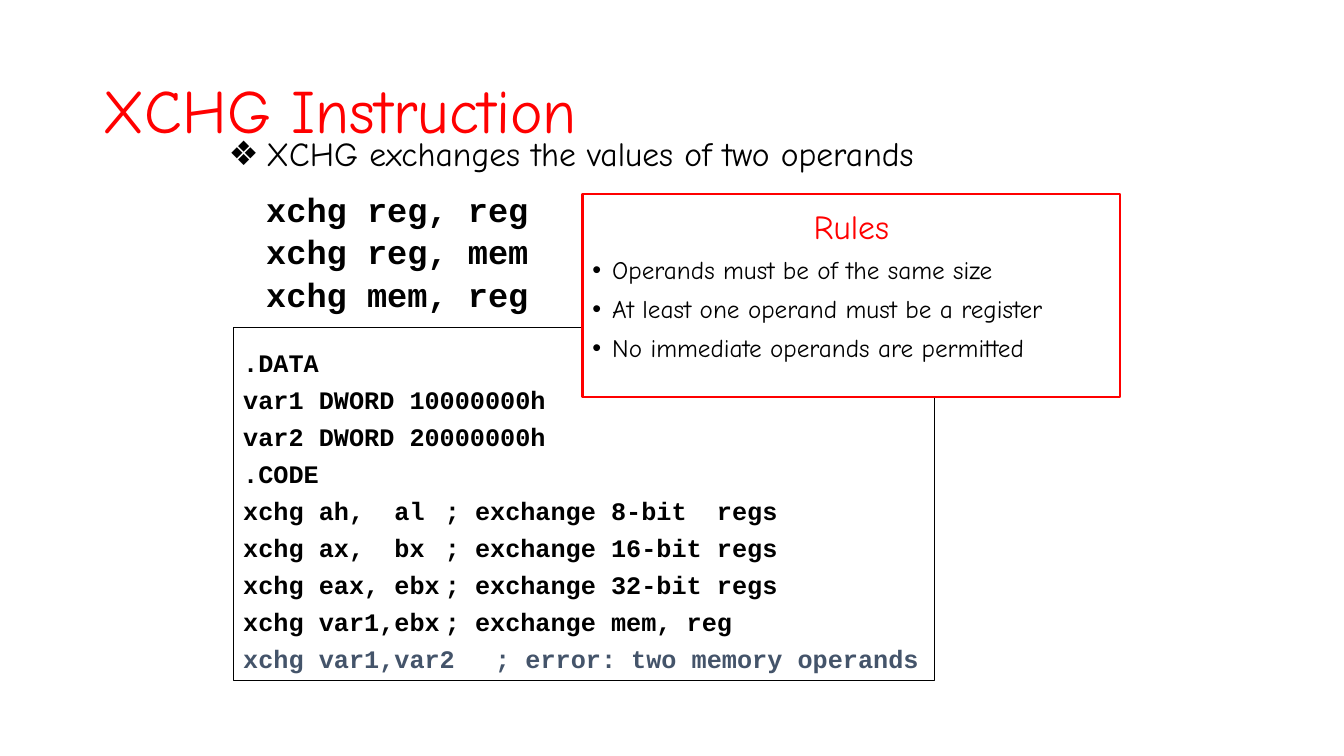
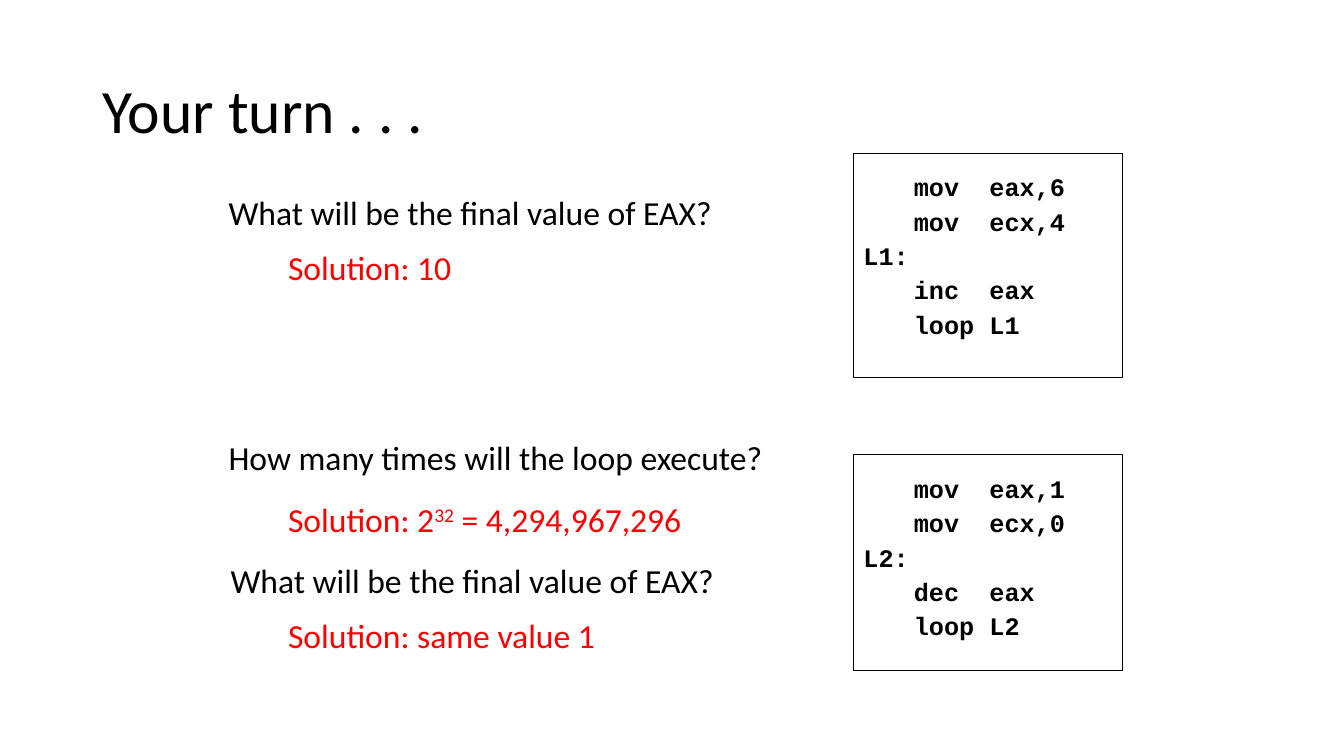
from lxml.etree import SubElement as Sub
from pptx import Presentation
from pptx.dml.color import RGBColor as RGB
from pptx.enum.shapes import MSO_SHAPE as Shape
from pptx.enum.text import MSO_ANCHOR as Anchor, MSO_AUTO_SIZE as Fit, PP_ALIGN as Align
from pptx.oxml.ns import qn
from pptx.util import Cm, Pt

# Shared style
BLACK, RED, SLATE, WHITE = "000000", "FF0000", "44546A", "FFFFFF"
PLAIN, COMIC, MONO = "Calibri", "Comic Neue", "Courier New"
CODE = dict(size=18, font=MONO, bold=True)


def write(frame, text, size=24, font=PLAIN, color=BLACK, bold=False, align=Align.LEFT,
          before=0, lead=None, margin=0, bullet=None, tab=None):
    """Add one paragraph; text between carets is raised."""
    first = not frame.text
    para = frame.paragraphs[0] if first else frame.add_paragraph()
    para.alignment = align
    para.space_before = Pt(0 if first else before)
    if lead:
        para.line_spacing = lead
    props = para._p.get_or_add_pPr()
    props.set("marL", str(Cm(margin)))
    props.set("indent", str(-Cm(margin) if bullet else 0))
    if bullet:
        Sub(props, qn("a:buFont"), typeface="Arial")
        Sub(props, qn("a:buChar"), char=bullet)
    else:
        Sub(props, qn("a:buNone"))
    if tab:
        Sub(Sub(props, qn("a:tabLst")), qn("a:tab"), pos=str(Cm(tab)), algn="l")
    for i, part in enumerate(text.split("^")):
        run = para.add_run()
        run.text = part
        run.font.size, run.font.name, run.font.bold = Pt(size), font, bold
        run.font.color.rgb = RGB.from_string(color)
        if i % 2:
            run._r.get_or_add_rPr().set("baseline", "30000")


def box(slide, left, top, width, height, line=None, weight=0.75, fill=None,
        inset=0.13, right=0.25):
    """Add a text box, or a rectangle if it has a line, and give its text frame."""
    area = Cm(left), Cm(top), Cm(width), Cm(height)
    if line:
        shape = slide.shapes.add_shape(Shape.RECTANGLE, *area)
        shape.shadow.inherit = False
        shape.line.color.rgb = RGB.from_string(line)
        shape.line.width = Pt(weight)
        if fill:
            shape.fill.solid()
            shape.fill.fore_color.rgb = RGB.from_string(fill)
        else:
            shape.fill.background()
    else:
        shape = slide.shapes.add_textbox(*area)
    frame = shape.text_frame
    frame.word_wrap = True
    frame.vertical_anchor = Anchor.TOP
    frame.margin_left, frame.margin_right = Cm(0.25), Cm(right)
    frame.margin_top, frame.margin_bottom = Cm(inset), Cm(0)
    return frame


deck = Presentation()
deck.slide_width, deck.slide_height = Cm(33.87), Cm(19.05)

# Slides and titles
pages = []
for text, font, color in [("XCHG Instruction", COMIC, RED), ("Your turn . . .", PLAIN, BLACK)]:
    page = deck.slides.add_slide(deck.slide_layouts[5])
    title = page.shapes.title
    title.left, title.top, title.width, title.height = Cm(2.33), Cm(1.01), Cm(29.21), Cm(3.68)
    title.text_frame.vertical_anchor = Anchor.MIDDLE
    title.text_frame.auto_size = Fit.NONE
    write(title.text_frame, text, size=44, font=font, color=color, lead=0.9)
    pages.append(page)
xchg, turn = pages

# Instruction forms
forms = box(xchg, 5.51, 3.18, 22.86, 5.87, inset=0.18)
write(forms, "XCHG exchanges the values of two operands", font=COMIC, margin=0.95, bullet="❖")
for text, gap in [("reg, reg", 11), ("reg, mem", 1.4), ("mem, reg", 1.4)]:
    write(forms, "xchg " + text, font=MONO, bold=True, margin=0.95, before=gap)

# Sample program
sample = box(xchg, 5.88, 8.26, 17.68, 8.89, line=BLACK, inset=0.5, right=0)
for text in [".DATA", "var1 DWORD 10000000h", "var2 DWORD 20000000h", ".CODE",
             "xchg ah,  al\t; exchange 8-bit  regs",
             "xchg ax,  bx\t; exchange 16-bit regs",
             "xchg eax, ebx\t; exchange 32-bit regs",
             "xchg var1,ebx\t; exchange mem, reg",
             "xchg var1,var2\t; error: two memory operands"]:
    write(sample, text, color=SLATE if "error" in text else BLACK,
          before=4.8, tab=6.48, **CODE)

# Rules
rules = box(xchg, 14.68, 4.88, 13.55, 5.13, line=RED, weight=1.5, fill=WHITE, inset=0.3)
write(rules, "Rules", font=COMIC, color=RED, align=Align.CENTER)
for text in ["Operands must be of the same size", "At least one operand must be a register",
             "No immediate operands are permitted"]:
    write(rules, text, size=18, font=COMIC, margin=0.5, bullet="•", before=6.3)

# Questions and solutions
for left, top, color, text in [
        (5.51, 4.45, BLACK, "What will be the final value of EAX?"),
        (7.01, 5.84, RED, "Solution: 10"),
        (5.51, 10.64, BLACK, "How many times will the loop execute?"),
        (7.01, 12.19, RED, "Solution: 2^32^ = 4,294,967,296"),
        (5.56, 13.72, BLACK, "What will be the final value of EAX?"),
        (7.01, 15.11, RED, "Solution: same value 1")]:
    write(box(turn, left, top, 15.2, 1.8, inset=0.38), text, color=color)

# Loops
for top, height, start, count, label, step in [
        (3.86, 5.66, 6, 4, "L1", "inc"), (11.46, 5.44, 1, 0, "L2", "dec")]:
    loop = box(turn, 21.51, top, 6.78, height, line=BLACK, inset=0.46)
    for text in [f"\tmov  eax,{start}", f"\tmov  ecx,{count}", f"{label}:",
                 f"\t{step}  eax", f"\tloop {label}"]:
        write(loop, text, before=3, tab=1.27, **CODE)

deck.save("out.pptx")
